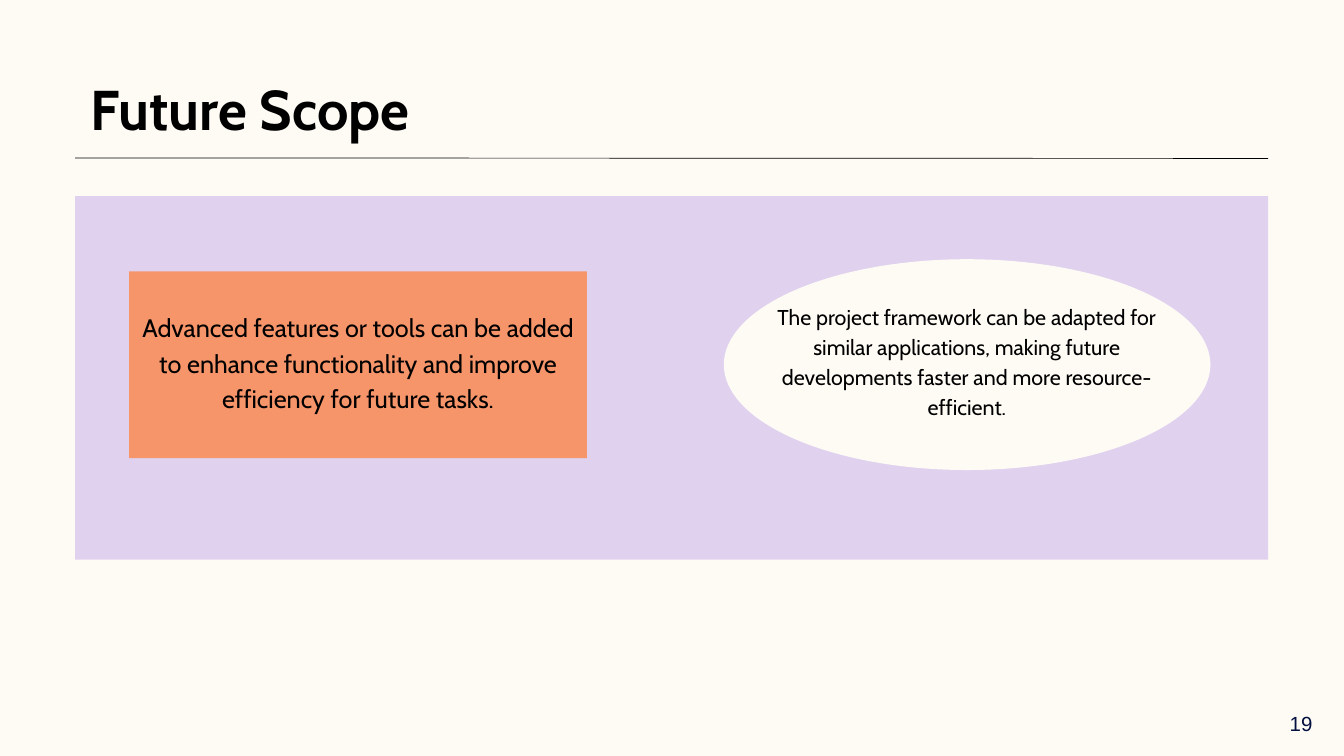
from dataclasses import dataclass

from pptx import Presentation
from pptx import util as u
from pptx.dml.color import RGBColor
from pptx.enum import shapes, text
from pptx.oxml.ns import qn


@dataclass(frozen=True)
class Theme:
    cream: str = "FEFBF5"
    lilac: str = "E0D2EF"
    coral: str = "F6956A"
    black: str = "000000"
    navy: str = "031040"
    font: str = "Cabin"
    plain: str = "Arial"
    title: float = 60
    large: float = 27
    small: float = 23
    page: float = 21.9


@dataclass(frozen=True)
class Box:
    """Left, top, width and height in centimetres."""
    x: float
    y: float
    w: float
    h: float

    def emu(self) -> tuple:
        return u.Cm(self.x), u.Cm(self.y), u.Cm(self.w), u.Cm(self.h)


@dataclass(frozen=True)
class Card:
    kind: shapes.MSO_SHAPE
    box: Box
    fill: str
    area: Box
    words: str
    size: float


THEME = Theme()
LEFT, WIDE = 2.84, 45.09
CARDS = [
    Card(shapes.MSO_SHAPE.OVAL, Box(27.36, 9.8, 18.39, 7.97), THEME.cream,
         Box(29.08, 10.21, 14.94, 6.78),
         "The project framework can be adapted for similar applications, "
         "making future developments faster and more resource-efficient.",
         THEME.small),
    Card(shapes.MSO_SHAPE.RECTANGLE, Box(4.88, 10.26, 17.3, 7.06), THEME.coral,
         Box(4.88, 9.96, 17.3, 7.34),
         "Advanced features or tools can be added to enhance functionality "
         "and improve efficiency for future tasks.",
         THEME.large),
]


def add_form(slide, kind: shapes.MSO_SHAPE, box: Box, fill: str) -> None:
    form = slide.shapes.add_shape(kind, *box.emu())
    form.shadow.inherit = False
    form.fill.solid()
    form.fill.fore_color.rgb = RGBColor.from_string(fill)
    form.line.fill.background()


def set_text(shape, words: str, size: float, lead: float, *,
             font: str = THEME.font, color: str = THEME.black,
             bold: bool = False, inset: float = 0,
             align=text.PP_ALIGN.CENTER,
             anchor=text.MSO_ANCHOR.TOP) -> None:
    frame = shape.text_frame
    frame.text = words
    frame.word_wrap = True
    frame.auto_size = text.MSO_AUTO_SIZE.NONE
    frame.vertical_anchor = anchor
    frame.margin_left = frame.margin_right = u.Cm(inset)
    frame.margin_top = frame.margin_bottom = u.Cm(inset)
    para = frame.paragraphs[0]
    para.alignment = align
    para.line_spacing = u.Pt(lead)
    para.space_before = u.Pt(0)
    face = para.runs[0].font
    face.name, face.size, face.bold = font, u.Pt(size), bold
    face.color.rgb = RGBColor.from_string(color)


def add_card(slide, card: Card) -> None:
    add_form(slide, card.kind, card.box, card.fill)
    label = slide.shapes.add_textbox(*card.area.emu())
    set_text(label, card.words, card.size, card.size * 1.4, inset=0.15,
             anchor=text.MSO_ANCHOR.MIDDLE)


def add_rule(slide) -> None:
    rule = slide.shapes.add_connector(
        shapes.MSO_CONNECTOR.STRAIGHT,
        u.Cm(LEFT), u.Cm(5.97), u.Cm(LEFT + WIDE), u.Cm(5.99))
    rule.line.width = u.Pt(0.75)
    rule.line.color.rgb = RGBColor.from_string(THEME.black)
    props = rule._element.spPr
    props.append(props.makeelement(qn("a:effectLst"), {}))


def main() -> None:
    deck = Presentation()
    deck.slide_width, deck.slide_height = u.Cm(50.8), u.Cm(28.58)
    slide = deck.slides.add_slide(deck.slide_layouts[5])
    slide.background.fill.solid()
    slide.background.fill.fore_color.rgb = RGBColor.from_string(THEME.cream)

    # Heading and its rule
    title = slide.shapes.title
    title.left, title.top, title.width, title.height = Box(
        3.43, 2.82, 18.75, 2.57).emu()
    set_text(title, "Future Scope", THEME.title, 72, bold=True,
             align=text.PP_ALIGN.LEFT)
    add_rule(slide)

    # Panel with the two cards
    add_form(slide, shapes.MSO_SHAPE.RECTANGLE,
             Box(LEFT, 7.42, WIDE, 13.74), THEME.lilac)
    for card in CARDS:
        add_card(slide, card)

    # Page number
    page = slide.shapes.add_textbox(*Box(48.67, 27.25, 1.02, 0.66).emu())
    set_text(page, "19", THEME.page, 16.2, font=THEME.plain, color=THEME.navy)

    deck.save("out.pptx")


if __name__ == "__main__":
    main()
